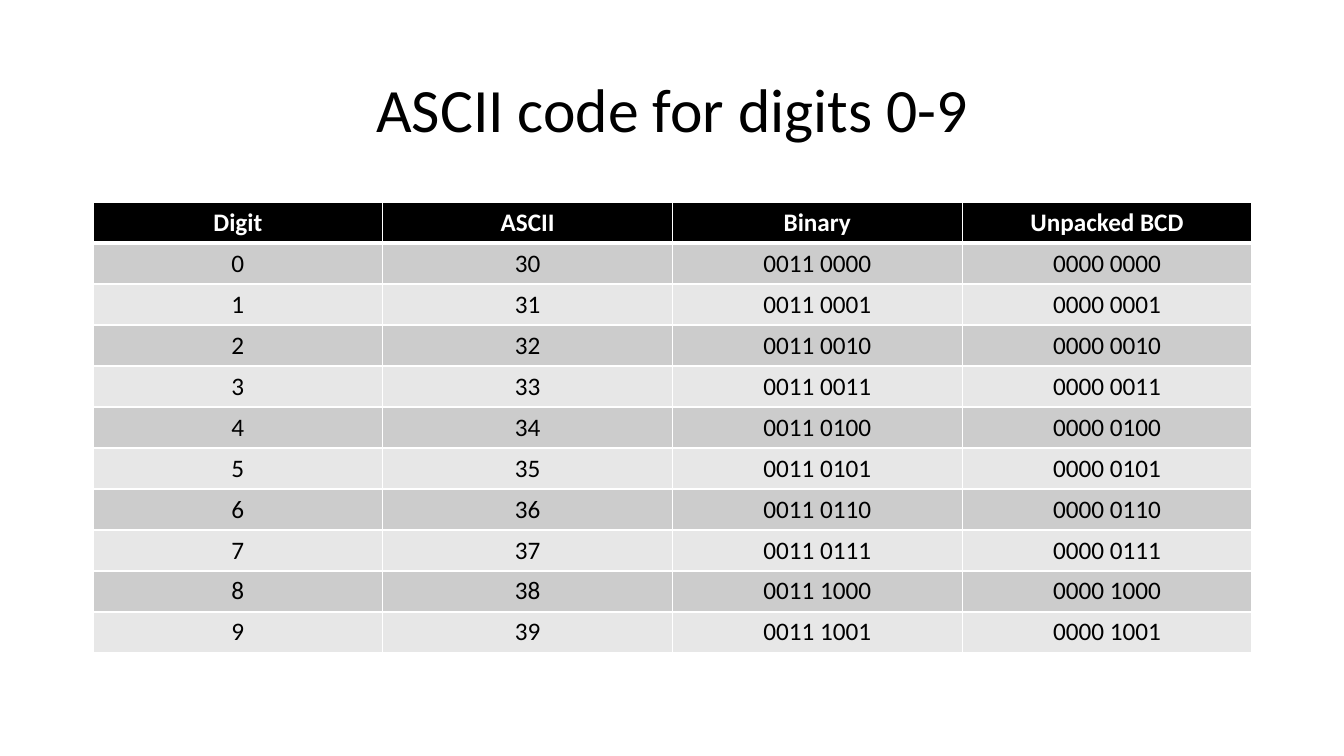
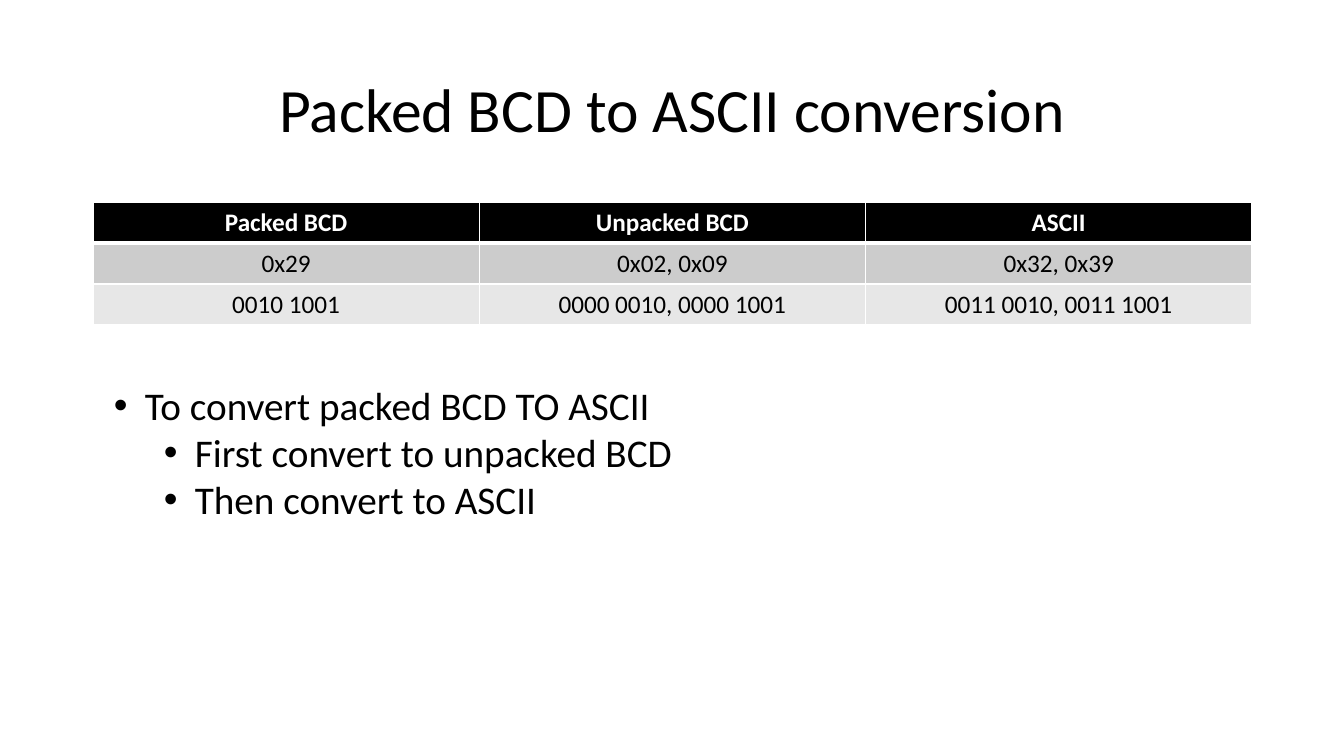
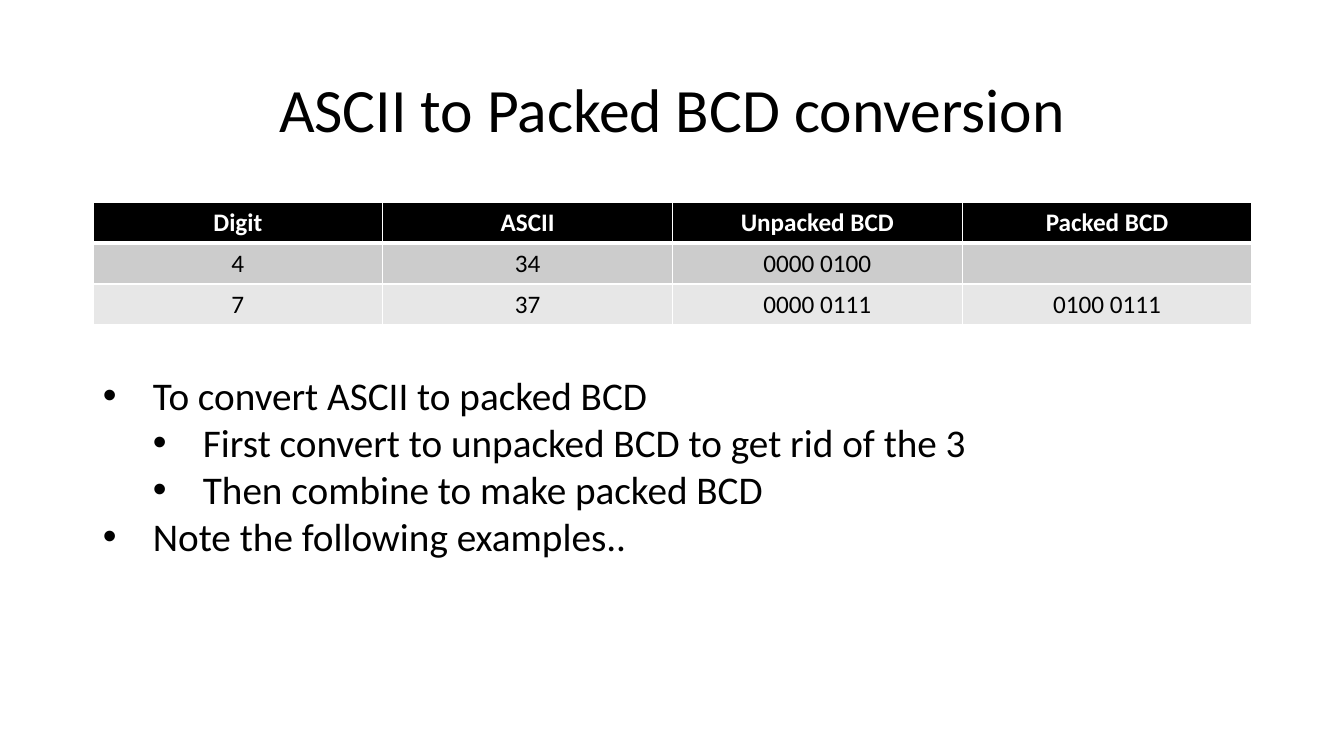
"""Build three slides on ASCII and BCD digit codes."""
from dataclasses import dataclass

from lxml import etree
from pptx import Presentation
from pptx.dml.color import RGBColor
from pptx.enum.text import MSO_ANCHOR, PP_ALIGN
from pptx.oxml.ns import qn
from pptx.util import Emu, Pt

LEFT, CENTER = PP_ALIGN.LEFT, PP_ALIGN.CENTER
TOP, MIDDLE = MSO_ANCHOR.TOP, MSO_ANCHOR.MIDDLE
BLANK_LAYOUT = 6
EMU_PER_PIXEL = 914400 / 100.8
SIDES = ("L", "R", "T", "B")


@dataclass(frozen=True)
class Theme:
    font: str = "Calibri"
    ink: str = "000000"
    paper: str = "FFFFFF"
    bands: tuple = ("CCCCCC", "E7E7E7")
    title_size: int = 44
    body_size: int = 28
    table_size: int = 18
    thin_rule: int = 1
    thick_rule: int = 3
    left: int = 93
    width: int = 1159
    title_top: int = 40
    title_height: int = 146
    table_top: int = 202
    row_height: int = 41
    level_step: int = 50


def px(pixels):
    return Emu(round(pixels * EMU_PER_PIXEL))


def write(para, text, *, font, size, color, bold=False, align=LEFT):
    para.alignment = align
    if not text:
        return
    span = para.add_run()
    span.text = text
    span.font.name = font
    span.font.size = Pt(size)
    span.font.bold = bold
    span.font.color.rgb = RGBColor.from_string(color)


def add_bullet(para, indent, hang):
    properties = para._p.get_or_add_pPr()
    properties.set("marL", str(px(indent)))
    properties.set("indent", str(-px(hang)))
    etree.SubElement(properties, qn("a:buFont"), typeface="Arial")
    etree.SubElement(properties, qn("a:buChar"), char="•")


def add_border(cell, side, color, points):
    properties = cell._tc.get_or_add_tcPr()
    line = etree.SubElement(properties, qn(f"a:ln{side}"), w=str(Pt(points)))
    fill = etree.SubElement(line, qn("a:solidFill"))
    etree.SubElement(fill, qn("a:srgbClr"), val=color)


class DeckBuilder:
    def __init__(self, theme):
        self.theme = theme
        self.deck = Presentation()
        self.deck.slide_width = px(1344)
        self.deck.slide_height = px(756)
        self.page = None

    def add_page(self, title):
        self.page = self.deck.slides.add_slide(self.deck.slide_layouts[BLANK_LAYOUT])
        theme = self.theme
        frame = self.add_box(theme.left, theme.title_top, theme.width,
                             theme.title_height, anchor=MIDDLE)
        para = frame.paragraphs[0]
        para.line_spacing = 0.9
        write(para, title, font=theme.font, size=theme.title_size,
              color=theme.ink, align=CENTER)

    def add_box(self, left, top, width, height, anchor=TOP):
        box = self.page.shapes.add_textbox(px(left), px(top), px(width), px(height))
        frame = box.text_frame
        frame.word_wrap = True
        frame.vertical_anchor = anchor
        return frame

    def add_table(self, header, rows):
        theme = self.theme
        grid = [header, *rows]
        table = self.page.shapes.add_table(
            len(grid), len(header), px(theme.left), px(theme.table_top),
            px(theme.width), px(theme.row_height * len(grid))).table
        table.horz_banding = False
        for row_index, texts in enumerate(grid):
            for column_index, text in enumerate(texts):
                self.fill_cell(table.cell(row_index, column_index), row_index, text)

    def fill_cell(self, cell, row_index, text):
        theme = self.theme
        is_header = row_index == 0
        thick_side = {0: "B", 1: "T"}.get(row_index)
        for side in SIDES:
            points = theme.thick_rule if side == thick_side else theme.thin_rule
            add_border(cell, side, theme.paper, points)
        fill = theme.ink if is_header else theme.bands[(row_index - 1) % 2]
        cell.fill.solid()
        cell.fill.fore_color.rgb = RGBColor.from_string(fill)
        write(cell.text_frame.paragraphs[0], text, font=theme.font,
              size=theme.table_size, color=theme.paper if is_header else theme.ink,
              bold=is_header, align=CENTER)

    def add_bullets(self, left, top, width, height, hang, items):
        theme = self.theme
        frame = self.add_box(left, top, width, height)
        for index, (level, text) in enumerate(items):
            para = frame.add_paragraph() if index else frame.paragraphs[0]
            para.level = level
            add_bullet(para, hang + level * theme.level_step, hang)
            write(para, text, font=theme.font, size=theme.body_size, color=theme.ink)


def main():
    builder = DeckBuilder(Theme())

    builder.add_page("ASCII code for digits 0-9")
    builder.add_table(
        ("Digit", "ASCII", "Binary", "Unpacked BCD"),
        [(str(digit), f"3{digit}", f"0011 {digit:04b}", f"0000 {digit:04b}")
         for digit in range(10)])

    builder.add_page("Packed BCD to ASCII conversion")
    builder.add_table(
        ("Packed BCD", "Unpacked BCD", "ASCII"),
        [("0x29", "0x02, 0x09", "0x32, 0x39"),
         ("0010 1001", "0000 0010, 0000 1001", "0011 0010, 0011 1001")])
    builder.add_bullets(104, 376, 586, 152, 31, [
        (0, "To convert packed BCD TO ASCII"),
        (1, "First convert to unpacked BCD"),
        (1, "Then convert to ASCII")])

    builder.add_page("ASCII to Packed BCD conversion")
    builder.add_table(
        ("Digit", "ASCII", "Unpacked BCD", "Packed BCD"),
        [("4", "34", "0000 0100", ""),
         ("7", "37", "0000 0111", "0100 0111")])
    builder.add_bullets(93, 366, 894, 248, 50, [
        (0, "To convert ASCII to packed BCD"),
        (1, "First convert to unpacked BCD to get rid of the 3"),
        (1, "Then combine to make packed BCD"),
        (0, "Note the following examples..")])

    builder.deck.save("out.pptx")


main()
